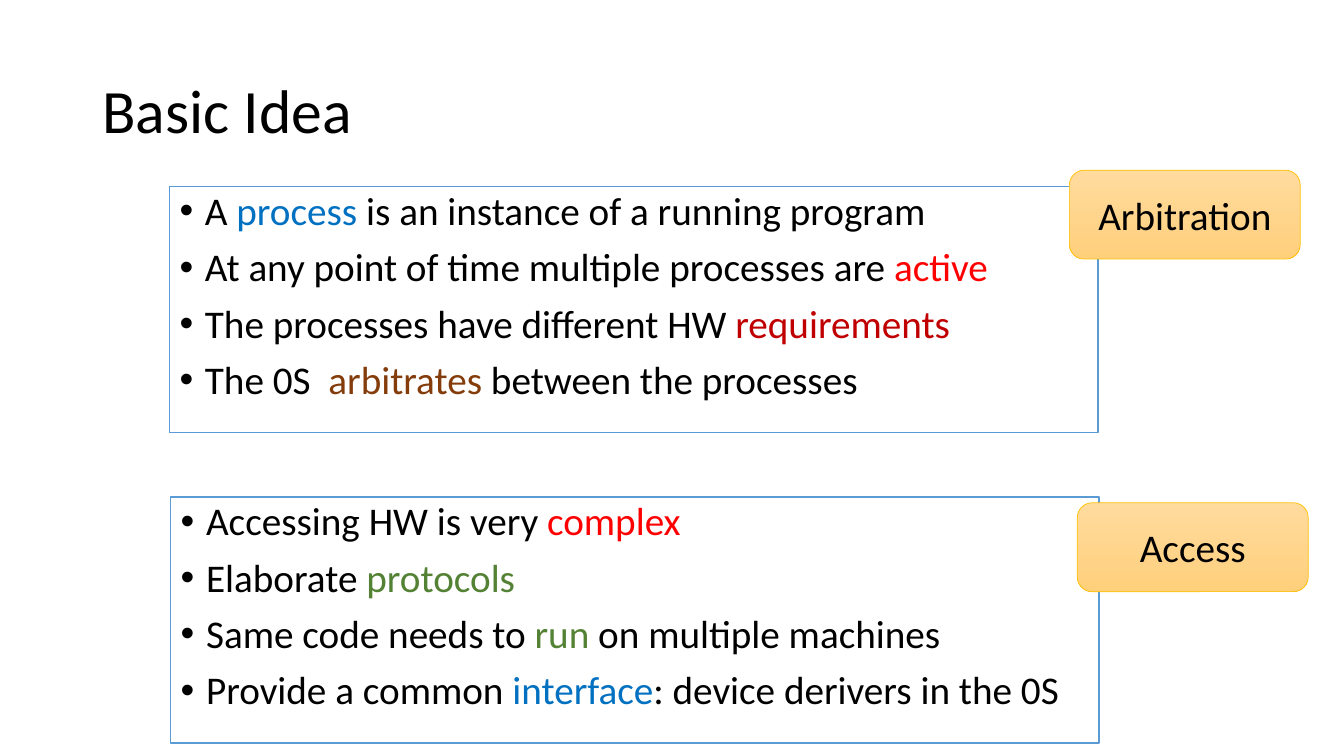
from dataclasses import dataclass

from lxml.etree import SubElement
from pptx import Presentation
from pptx.dml.color import RGBColor
from pptx.enum.shapes import MSO_SHAPE
from pptx.enum.text import MSO_ANCHOR, MSO_AUTO_SIZE, PP_ALIGN
from pptx.oxml.ns import qn
from pptx.util import Cm, Pt


@dataclass(frozen=True)
class Theme:
    font: str = "Calibri"
    title: int = 44
    text: int = 28
    gap: int = 10
    black: str = "000000"
    white: str = "FFFFFF"
    blue: str = "0070C0"
    red: str = "FF0000"
    wine: str = "C00000"
    brown: str = "843C0B"
    green: str = "548235"
    frame: str = "5B9BD5"
    gold: str = "FFC000"
    light: str = "FFDB9E"
    deep: str = "FFD07C"


THEME = Theme()

TASKS = [
    [("A ", None), ("process", THEME.blue),
     (" is an instance of a running program", None)],
    [("At any point of time multiple processes are ", None),
     ("active", THEME.red)],
    [("The processes have different HW ", None),
     ("requirements", THEME.wine)],
    [("The 0S  ", None), ("arbitrates", THEME.brown),
     (" between the processes", None)],
]

ACCESS = [
    [("Accessing HW is very ", None), ("complex", THEME.red)],
    [("Elaborate ", None), ("protocols", THEME.green)],
    [("Same code needs to ", None), ("run", THEME.green),
     (" on multiple machines", None)],
    [("Provide a common ", None), ("interface", THEME.blue),
     (": device derivers in the 0S", None)],
]


def color(code):
    return RGBColor.from_string(code)


def place(shape, left, top, width, height):
    shape.left, shape.top = Cm(left), Cm(top)
    shape.width, shape.height = Cm(width), Cm(height)


def style(para, size):
    para.font.name = THEME.font
    para.font.size = Pt(size)
    para.font.color.rgb = color(THEME.black)


def outline(shape, code, width):
    shape.line.color.rgb = color(code)
    shape.line.width = Pt(width)


def bullet(para):
    props = para._p.get_or_add_pPr()
    props.set("marL", str(Cm(0.64)))
    props.set("indent", str(-Cm(0.64)))
    SubElement(props, qn("a:buFont"), typeface="Arial")
    SubElement(props, qn("a:buChar"), char="•")


def add_title(shape, text):
    place(shape, 2.33, 1.01, 29.21, 3.68)
    frame = shape.text_frame
    frame.text = text
    frame.auto_size = MSO_AUTO_SIZE.NONE
    frame.vertical_anchor = MSO_ANCHOR.MIDDLE
    para = frame.paragraphs[0]
    para.alignment = PP_ALIGN.LEFT
    para.line_spacing = 0.9
    style(para, THEME.title)


def add_list(shape, left, top, items):
    place(shape, left, top, 23.4, 6.2)
    shape.fill.solid()
    shape.fill.fore_color.rgb = color(THEME.white)
    outline(shape, THEME.frame, 1)
    frame = shape.text_frame
    frame.auto_size = MSO_AUTO_SIZE.NONE
    for pos, parts in enumerate(items):
        para = frame.add_paragraph() if pos else frame.paragraphs[0]
        bullet(para)
        para.line_spacing = 0.9
        para.space_before = Pt(THEME.gap if pos else 0)
        style(para, THEME.text)
        for text, code in parts:
            run = para.add_run()
            run.text = text
            if code:
                run.font.color.rgb = color(code)


def add_tag(slide, left, top, text):
    tag = slide.shapes.add_shape(
        MSO_SHAPE.ROUNDED_RECTANGLE, Cm(left), Cm(top), Cm(5.82), Cm(2.24))
    tag.shadow.inherit = False
    tag.fill.gradient()
    tag.fill.gradient_angle = 270
    for stop, code in zip(tag.fill.gradient_stops, (THEME.light, THEME.deep)):
        stop.color.rgb = color(code)
    outline(tag, THEME.gold, 0.5)
    frame = tag.text_frame
    frame.text = text
    frame.vertical_anchor = MSO_ANCHOR.MIDDLE
    para = frame.paragraphs[0]
    para.alignment = PP_ALIGN.CENTER
    style(para, THEME.text)


def main():
    deck = Presentation()
    deck.slide_width, deck.slide_height = Cm(33.87), Cm(19.05)
    slide = deck.slides.add_slide(deck.slide_layouts[3])
    title, first, second = list(slide.placeholders)
    add_title(title, "Basic Idea")
    add_list(first, 4.27, 4.7, TASKS)
    add_list(second, 4.3, 12.52, ACCESS)
    add_tag(slide, 26.95, 4.29, "Arbitration")
    add_tag(slide, 27.15, 12.67, "Access")
    deck.save("out.pptx")


if __name__ == "__main__":
    main()
